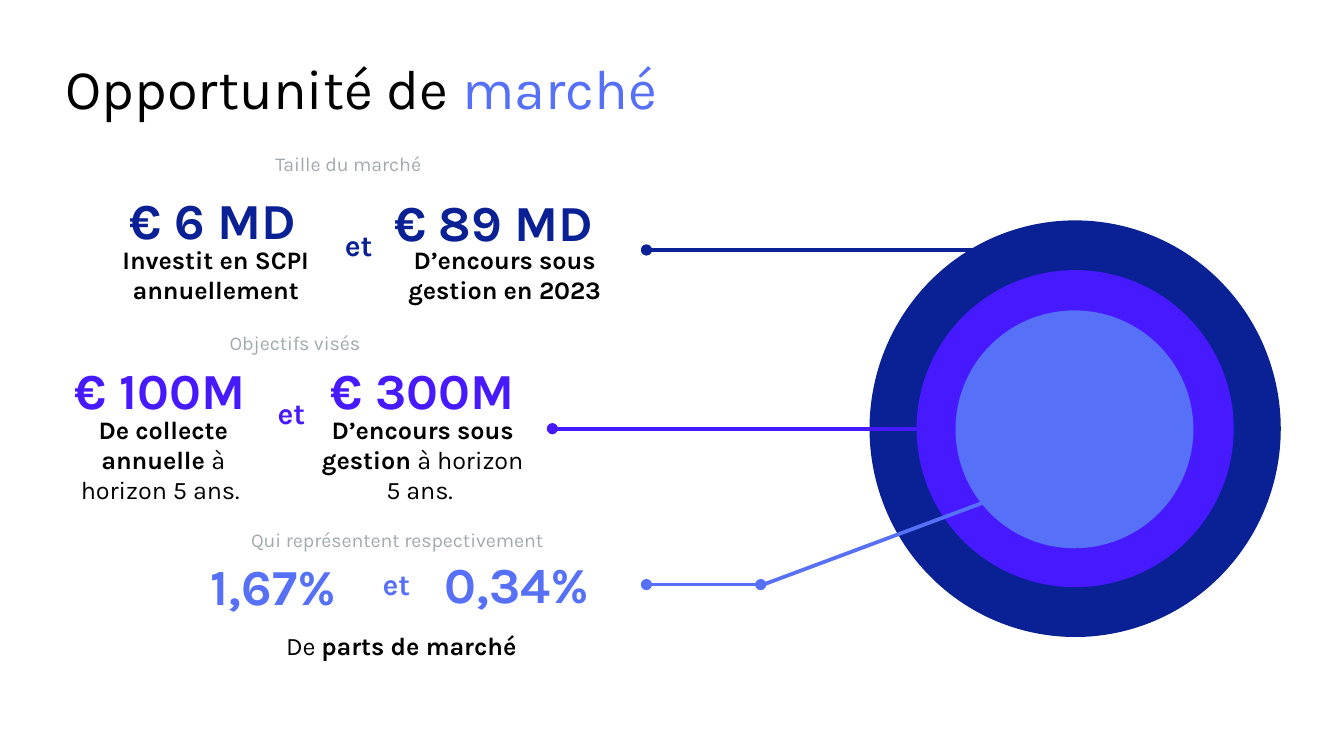
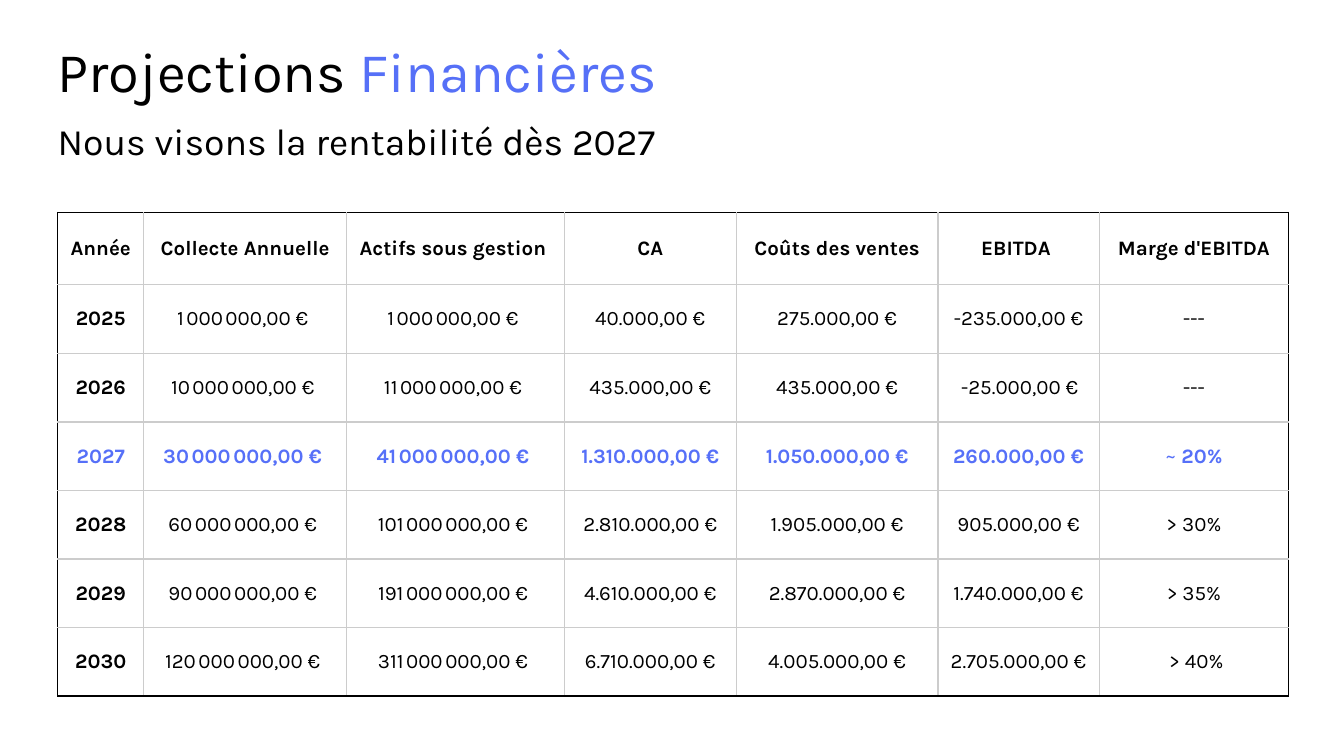
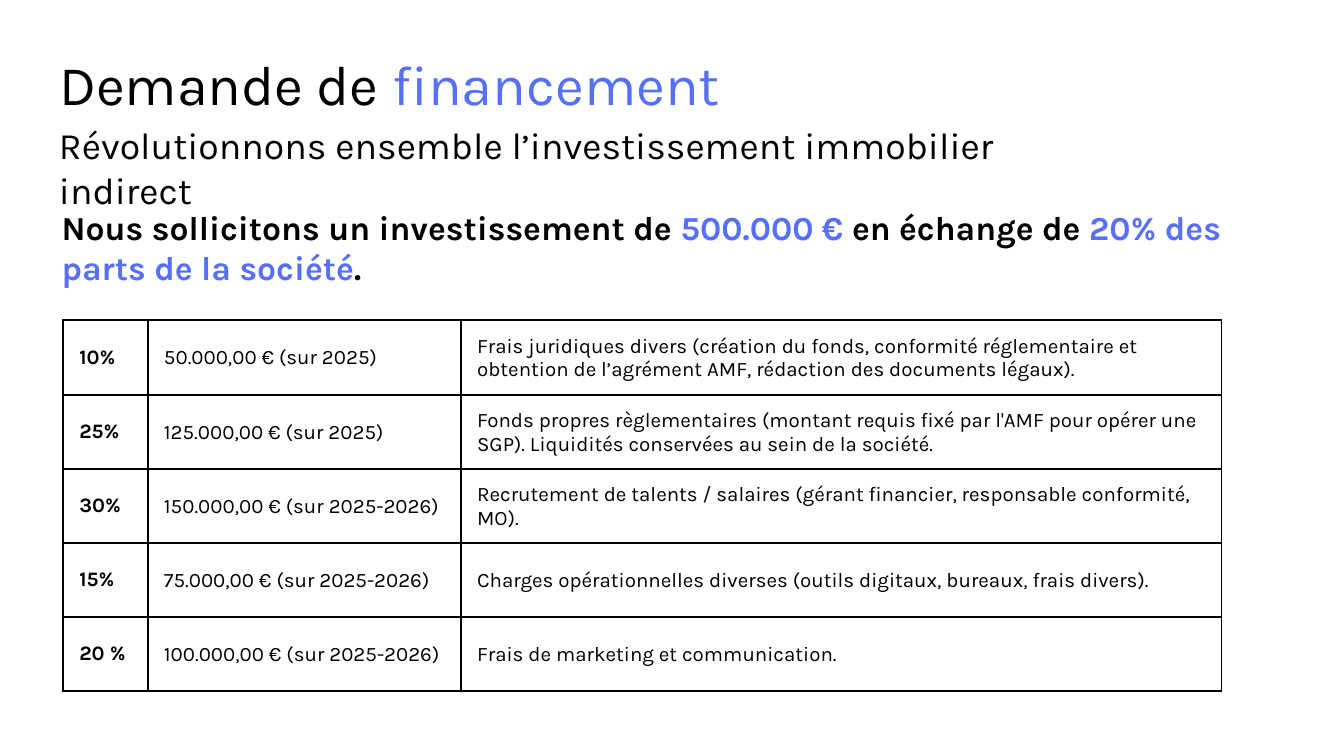
from lxml import etree
from pptx import Presentation
from pptx.dml.color import RGBColor
from pptx.enum.shapes import MSO_CONNECTOR, MSO_SHAPE
from pptx.enum.text import MSO_ANCHOR, MSO_AUTO_SIZE, PP_ALIGN
from pptx.oxml.ns import qn
from pptx.util import Inches, Pt

LEFT, CENTER, RIGHT = PP_ALIGN.LEFT, PP_ALIGN.CENTER, PP_ALIGN.RIGHT
TOP, MIDDLE = MSO_ANCHOR.TOP, MSO_ANCHOR.MIDDLE
NO_AUTOFIT = MSO_AUTO_SIZE.NONE
STRAIGHT = MSO_CONNECTOR.STRAIGHT
OVAL = MSO_SHAPE.OVAL

FONT = "Karla"
BLACK = "000000"
WHITE = "FFFFFF"
NAVY = "0A2095"
VIOLET = "4619FF"
RING_VIOLET = "4719FE"
BLUE = "5670F7"
ROW_BLUE = "5670F8"
GREY = "A1AAAD"
GRID_GREY = "CCCCCC"

TITLE_ONLY = 5
TITLE_SIZE, SUBTITLE_SIZE, TABLE_SIZE = 30, 20, 11
CAPTION_SIZE, FIGURE_SIZE, AND_SIZE, DETAIL_SIZE = 10.5, 27, 16, 13.5

HARD_SPACE = chr(0xA0)
THIN_SPACE = chr(0x202F)

PROJECTION_COLUMNS = [0.64, 1.51, 1.62, 1.28, 1.5, 1.2, 1.41]
PROJECTION_HEADER = [
    "Année", "Collecte Annuelle", "Actifs sous gestion ", "CA",
    "Coûts des ventes", "EBITDA ", "Marge d'EBITDA",
]
PROJECTIONS = [
    ("2025", 1, 1, "40.000,00 €", "275.000,00 €", "-235.000,00 €", "---"),
    ("2026", 10, 11, "435.000,00 €", "435.000,00 €", THIN_SPACE + "-25.000,00 €", "---"),
    ("2027", 30, 41, "1.310.000,00 €", "1.050.000,00 €", "260.000,00 €", f"~{HARD_SPACE}20%"),
    ("2028", 60, 101, "2.810.000,00 €", "1.905.000,00 €", "905.000,00 €", "> 30%"),
    ("2029", 90, 191, "4.610.000,00 €", "2.870.000,00 €", "1.740.000,00 €", "> 35%"),
    ("2030", 120, 311, "6.710.000,00 €", "4.005.000,00 €", "2.705.000,00 €", " > 40%"),
]
PROFITABLE_YEAR = "2027"

FUNDING_COLUMNS = [0.63, 2.33, 5.66]
FUNDING = [
    ["10%", "50.000,00 € (sur 2025)",
     "Frais juridiques divers (création du fonds, conformité réglementaire et obtention de l’agrément AMF, rédaction des documents légaux)."],
    ["25%", "125.000,00 € (sur 2025)",
     "Fonds propres règlementaires (montant requis fixé par l'AMF pour opérer une SGP). Liquidités conservées au sein de la société."],
    ["30%", "150.000,00 € (sur 2025-2026)",
     "Recrutement de talents / salaires (gérant financier, responsable conformité, MO)."],
    ["15%", "75.000,00 € (sur 2025-2026)",
     "Charges opérationnelles diverses (outils digitaux, bureaux, frais divers)."],
    ["20 %", "100.000,00 € (sur 2025-2026)", "Frais de marketing et communication."],
]


def rgb(color):
    return RGBColor.from_string(color)


def inches(values):
    return [Inches(value) for value in values]


def write_runs(paragraph, runs, size, align=LEFT):
    paragraph.alignment = align
    for text, color, bold in runs:
        run = paragraph.add_run()
        run.text = text
        run.font.name = FONT
        run.font.size = Pt(size)
        run.font.bold = bold
        run.font.color.rgb = rgb(color)


def fill_frame(text_frame, runs, size, align=LEFT):
    text_frame.word_wrap = True
    text_frame.auto_size = NO_AUTOFIT
    text_frame.vertical_anchor = TOP
    write_runs(text_frame.paragraphs[0], runs, size, align)


def add_title_slide(presentation, bounds, start, accent):
    slide = presentation.slides.add_slide(presentation.slide_layouts[TITLE_ONLY])
    title = slide.shapes.title
    title.left, title.top, title.width, title.height = inches(bounds)
    fill_frame(title.text_frame, [(start, BLACK, False), (accent, BLUE, False)], TITLE_SIZE)
    return slide


def add_text(slide, bounds, runs, size, align=LEFT):
    text_box = slide.shapes.add_textbox(*inches(bounds))
    fill_frame(text_box.text_frame, runs, size, align)


def add_circle(group, bounds, color):
    circle = group.shapes.add_shape(OVAL, *inches(bounds))
    circle.shadow.inherit = False
    circle.fill.solid()
    circle.fill.fore_color.rgb = rgb(color)
    circle.line.fill.background()


def add_line(slide, start, end, color, dots=True):
    connector = slide.shapes.add_connector(STRAIGHT, *inches(start + end))
    connector.line.color.rgb = rgb(color)
    connector.line.width = Pt(2)
    if dots:
        line = connector.line._get_or_add_ln()
        for tag in ("a:headEnd", "a:tailEnd"):
            etree.SubElement(line, qn(tag), type="oval")
    etree.SubElement(connector._element.spPr, qn("a:effectLst"))


def set_borders(cell, colors, width):
    properties = cell._tc.get_or_add_tcPr()
    for side, color in zip(("a:lnL", "a:lnR", "a:lnT", "a:lnB"), colors):
        border = etree.SubElement(properties, qn(side), w=str(Pt(width)))
        fill = etree.SubElement(border, qn("a:solidFill"))
        etree.SubElement(fill, qn("a:srgbClr"), val=color)


def set_margins(cell, margins):
    cell.margin_left, cell.margin_top, cell.margin_right, cell.margin_bottom = inches(margins)


def add_table(slide, position, widths, heights, rows, grid_color, border_width, align=LEFT):
    size = (sum(widths), sum(heights))
    frame = slide.shapes.add_table(len(rows), len(widths), *inches(position + size))
    table = frame.table
    table.first_row = False
    table.horz_banding = False
    for column, width in zip(table.columns, widths):
        column.width = Inches(width)
    for row, height in zip(table.rows, heights):
        row.height = Inches(height)
    last_row, last_column = len(rows) - 1, len(widths) - 1
    for row_index, row in enumerate(rows):
        for column_index, runs in enumerate(row):
            cell = table.cell(row_index, column_index)
            cell.vertical_anchor = MIDDLE
            write_runs(cell.text_frame.paragraphs[0], runs, TABLE_SIZE, align)
            outer_sides = (column_index == 0, column_index == last_column,
                           row_index == 0, row_index == last_row)
            set_borders(cell, [BLACK if outer else grid_color for outer in outer_sides], border_width)
    return table


def add_market_slide(presentation):
    slide = add_title_slide(presentation, (0.39, 0.35, 6.05, 0.61), "Opportunité de ", "marché")

    circles = slide.shapes.add_group_shape()
    add_circle(circles, (6.47, 1.64, 3.06, 3.1), NAVY)
    add_circle(circles, (6.82, 2.01, 2.36, 2.36), RING_VIOLET)
    add_circle(circles, (7.11, 2.31, 1.77, 1.77), BLUE)

    add_line(slide, (4.81, 1.86), (7.45, 1.86), NAVY)
    add_line(slide, (4.11, 3.19), (7.01, 3.19), VIOLET)
    add_line(slide, (4.81, 4.35), (5.66, 4.35), BLUE)
    add_line(slide, (5.68, 4.35), (7.45, 3.69), BLUE, dots=False)

    captions = [
        ((1.95, 1.08, 1.47, 0.29), "Taille du marché"),
        ((1.61, 2.41, 2.31, 0.28), "Objectifs visés"),
        ((1.77, 3.88, 2.56, 0.28), "Qui représentent respectivement"),
    ]
    for bounds, text in captions:
        add_text(slide, bounds, [(text, GREY, False)], CAPTION_SIZE)

    figures = [
        ((0.54, 1.36, 1.86, 0.56), "€ 6 MD ", NAVY, RIGHT),
        ((2.75, 1.37, 1.86, 0.56), "€ 89 MD ", NAVY, RIGHT),
        ((0.46, 2.62, 1.83, 0.56), "€ 100M", VIOLET, LEFT),
        ((2.23, 2.62, 1.83, 0.56), "€ 300M", VIOLET, CENTER),
        ((1.47, 4.08, 1.86, 0.56), "1,67%", BLUE, LEFT),
        ((3.21, 4.07, 1.86, 0.56), "0,34%", BLUE, LEFT),
    ]
    for bounds, text, color, align in figures:
        add_text(slide, bounds, [(text, color, True)], FIGURE_SIZE, align)

    conjunctions = [
        ((2.4, 1.64, 0.47, 0.37), NAVY),
        ((1.77, 2.89, 0.6, 0.37), VIOLET),
        ((2.61, 4.16, 0.54, 0.37), BLUE),
    ]
    for bounds, color in conjunctions:
        add_text(slide, bounds, [("et", color, True)], AND_SIZE, RIGHT)

    horizon = ("à horizon 5 ans. ", BLACK, False)
    details = [
        ((0.53, 1.77, 2.15, 0.56), [("Investit en SCPI annuellement", BLACK, True)]),
        ((2.68, 1.77, 2.15, 0.56), [("D’encours sous gestion en 2023", BLACK, True)]),
        ((0.35, 3.03, 1.73, 0.78), [("De collecte annuelle ", BLACK, True), horizon]),
        ((2.23, 3.03, 1.83, 0.78), [("D’encours sous gestion ", BLACK, True), horizon]),
        ((1.91, 4.64, 2.15, 0.33), [("De ", BLACK, False), ("parts de marché", BLACK, True)]),
    ]
    for bounds, runs in details:
        add_text(slide, bounds, runs, DETAIL_SIZE, CENTER)


def format_millions(millions):
    return THIN_SPACE.join([str(millions), "000", "000,00 € "])


def projection_runs(year, column_index, value):
    text = format_millions(value) if isinstance(value, int) else value
    if year != PROFITABLE_YEAR:
        return [(text, BLACK, column_index == 0)]
    if text.startswith("~"):
        return [(text[0], ROW_BLUE, False), (text[1:], ROW_BLUE, True)]
    return [(text, ROW_BLUE, True)]


def add_projections_slide(presentation):
    slide = add_title_slide(presentation, (0.33, 0.22, 6.89, 0.61), "Projections ", "Financières")
    add_text(slide, (0.33, 0.83, 6.89, 0.44),
             [("Nous visons la rentabilité dès 2027", BLACK, False)], SUBTITLE_SIZE)

    rows = [[[(text, BLACK, True)] for text in PROJECTION_HEADER]]
    for row in PROJECTIONS:
        rows.append([projection_runs(row[0], index, value) for index, value in enumerate(row)])
    heights = [0.54] + [0.51] * len(PROJECTIONS)
    table = add_table(slide, (0.43, 1.58), PROJECTION_COLUMNS, heights, rows,
                      GRID_GREY, 0.75, CENTER)
    for cell in table.iter_cells():
        set_margins(cell, (0.03, 0.02, 0.03, 0.02))
        cell.fill.background()


def add_funding_slide(presentation):
    slide = add_title_slide(presentation, (0.34, 0.32, 7.08, 0.61), "Demande de ", "financement")
    add_text(slide, (0.34, 0.86, 7.78, 0.44),
             [("Révolutionnons ensemble l’investissement immobilier indirect", BLACK, False)],
             SUBTITLE_SIZE)
    request = [
        ("Nous sollicitons un investissement de ", BLACK, True),
        (f"500.000 €{HARD_SPACE}", BLUE, True),
        ("en échange de ", BLACK, True),
        ("20% des parts de la société", BLUE, True),
        (".", BLACK, True),
    ]
    add_text(slide, (0.36, 1.49, 8.84, 0.71), request, 18)

    rows = [[[(text, BLACK, index == 0)] for index, text in enumerate(row)] for row in FUNDING]
    heights = [0.56] + [0.55] * (len(FUNDING) - 1)
    table = add_table(slide, (0.47, 2.38), FUNDING_COLUMNS, heights, rows, BLACK, 1)
    for row in table.rows:
        for index, cell in enumerate(row.cells):
            set_margins(cell, (0.12, 0.01, 0.01, 0) if index else (0.12, 0.05, 0.1, 0.05))
            cell.fill.solid()
            cell.fill.fore_color.rgb = rgb(WHITE)


def main():
    presentation = Presentation()
    presentation.slide_width = Inches(10)
    presentation.slide_height = presentation.slide_width * 9 // 16
    add_market_slide(presentation)
    add_projections_slide(presentation)
    add_funding_slide(presentation)
    presentation.save("out.pptx")


if __name__ == "__main__":
    main()
